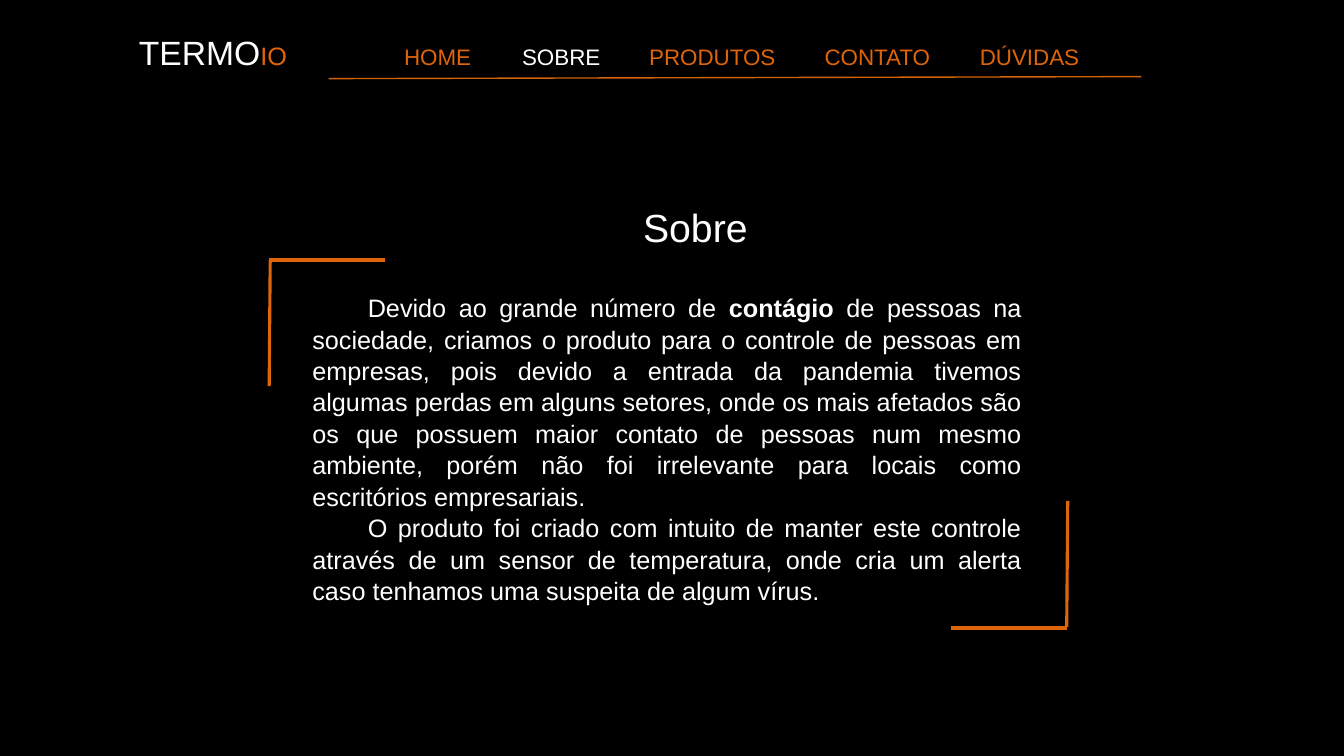
from pptx import Presentation
from pptx.dml.color import RGBColor
from pptx.enum.shapes import MSO_CONNECTOR
from pptx.enum.text import MSO_AUTO_SIZE, PP_ALIGN
from pptx.oxml.ns import qn
from pptx.util import Inches, Pt
from lxml import etree

STRAIGHT = MSO_CONNECTOR.STRAIGHT
GROW = MSO_AUTO_SIZE.SHAPE_TO_FIT_TEXT
JUSTIFY = PP_ALIGN.JUSTIFY

COLORS = {"background": "000000", "text": "FFFFFF",
          "accent": "DE650A", "rule": "D46306"}
FONT = "Arial"

MENU = [("HOME", 2.63), ("SOBRE", 3.8), ("PRODUTOS", 5.06),
        ("CONTATO", 6.8), ("DÚVIDAS", 8.34)]
CURRENT = "SOBRE"

BODY = [
    [("Devido ao grande número de ", False), ("contágio", True),
     (" de pessoas na sociedade, criamos o produto para o controle de "
      "pessoas em empresas, pois devido a entrada da pandemia tivemos "
      "algumas perdas em alguns setores, onde os mais afetados são os que "
      "possuem maior contato de pessoas num mesmo ambiente, porém não foi "
      "irrelevante para locais como escritórios empresariais.", False)],
    [("O produto foi criado com intuito de manter este controle através de "
      "um sensor de temperatura, onde cria um alerta caso tenhamos uma "
      "suspeita de algum vírus.", False)],
]

CORNERS = [
    ((2.68, 2.58), (2.67, 3.83)),
    ((3.82, 2.58), (2.67, 2.58)),
    ((10.58, 6.23), (9.43, 6.23)),
    ((10.59, 4.97), (10.58, 6.22)),
]


def rgb(name):
    """Return the named colour."""
    return RGBColor.from_string(COLORS[name])


def add_text_box(slide, left, top, width, height):
    """Add a wrapping text box and return its text frame."""
    box = slide.shapes.add_textbox(Inches(left), Inches(top),
                                   Inches(width), Inches(height))
    tf = box.text_frame
    tf.word_wrap = True
    tf.auto_size = GROW
    return tf


def add_run(p, text, size, color="text", bold=False):
    """Append a formatted run to a paragraph."""
    r = p.add_run()
    r.text = text
    r.font.name = FONT
    r.font.size = Pt(size)
    r.font.bold = bold
    r.font.color.rgb = rgb(color)


def add_line(slide, start, end, color, width):
    """Draw a straight line without a shadow."""
    x1, y1, x2, y2 = (Inches(v) for v in start + end)
    line = slide.shapes.add_connector(STRAIGHT, x1, y1, x2, y2)
    line.line.color.rgb = rgb(color)
    line.line.width = Pt(width)
    etree.SubElement(line._element.spPr, qn("a:effectLst"))


def add_header(slide):
    """Add the site name and the menu, aligned on tab stops."""
    p = add_text_box(slide, 1.28, 0.27, 11.72, 0.5).paragraphs[0]
    tabs = etree.SubElement(p._p.get_or_add_pPr(), qn("a:tabLst"))
    for _, stop in MENU:
        etree.SubElement(tabs, qn("a:tab"), pos=str(Inches(stop)), algn="l")
    add_run(p, "TERMO", 24)
    add_run(p, "IO", 18, "accent")
    for label, _ in MENU:
        add_run(p, "\t" + label, 16, "text" if label == CURRENT else "accent")
    add_line(slide, (3.26, 0.78), (11.32, 0.76), "rule", 1)


def add_body(slide):
    """Add the justified paragraphs with first-line indents."""
    tf = add_text_box(slide, 3, 2.84, 7.23, 3.13)
    for i, parts in enumerate(BODY):
        p = tf.paragraphs[0] if i == 0 else tf.add_paragraph()
        p.alignment = JUSTIFY
        p.line_spacing = 1.04
        p._p.get_or_add_pPr().set("indent", str(Inches(0.55)))
        for text, bold in parts:
            add_run(p, text, 18, bold=bold)


def main():
    """Build and save the slide."""
    prs = Presentation()
    prs.slide_width, prs.slide_height = Inches(13.33), Inches(7.5)
    slide = prs.slides.add_slide(prs.slide_layouts[6])
    fill = slide.background.fill
    fill.solid()
    fill.fore_color.rgb = rgb("background")

    add_header(slide)
    title = add_text_box(slide, 6.28, 1.97, 3, 0.57)
    add_run(title.paragraphs[0], "Sobre", 28)
    for start, end in CORNERS:
        add_line(slide, start, end, "accent", 2.25)
    add_body(slide)
    prs.save("out.pptx")


if __name__ == "__main__":
    main()
